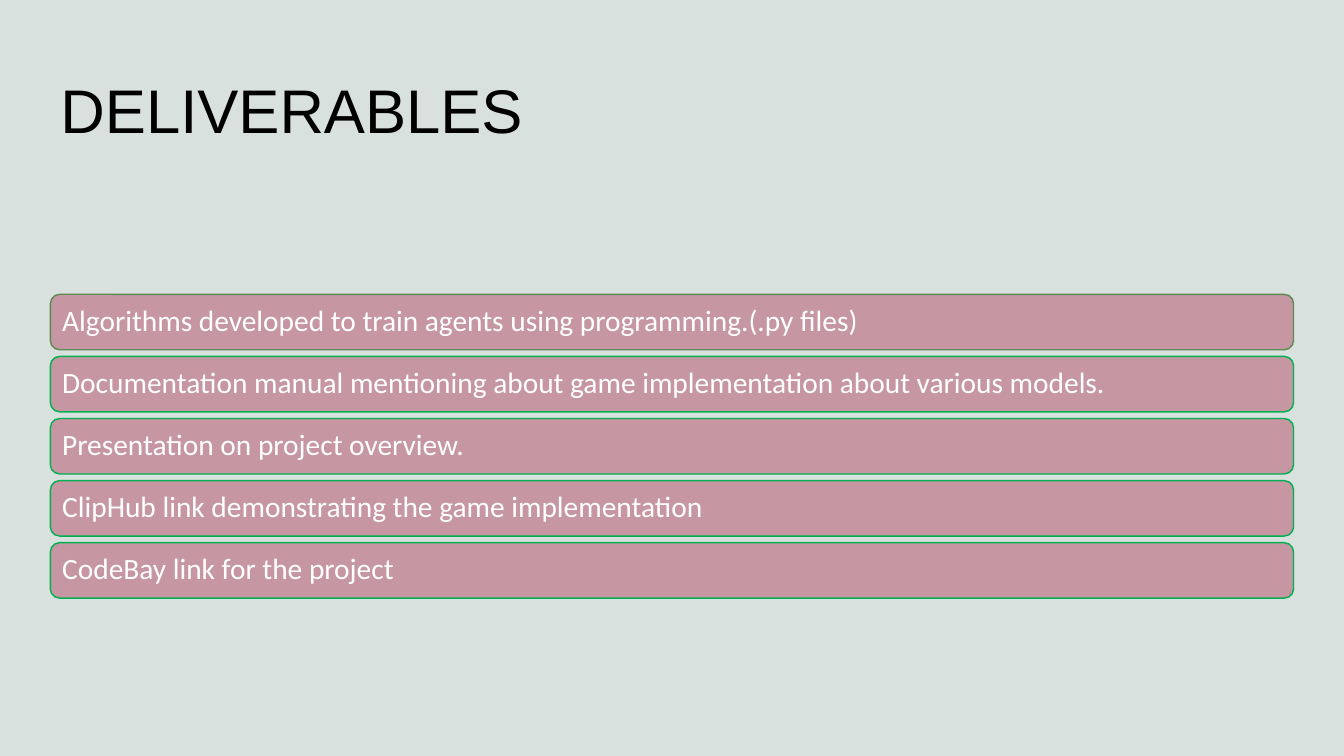
from pptx import Presentation
from pptx.dml.color import RGBColor
from pptx.enum.shapes import MSO_SHAPE
from pptx.enum.text import MSO_ANCHOR, MSO_AUTO_SIZE, PP_ALIGN
from pptx.util import Inches, Pt

DELIVERABLES = [
    ("Algorithms developed to train agents using programming.(.py files)", "5C8A52"),
    ("Documentation manual mentioning about game implementation about various models.", "00B050"),
    ("Presentation on project overview.", "00B050"),
    ("ClipHub link demonstrating the game implementation", "00B050"),
    ("CodeBay link for the project", "00B050"),
]
BAR_LEFT, BAR_TOP, BAR_WIDTH, BAR_HEIGHT = 0.5, 2.92, 12.33, 0.55
BAR_PITCH = 0.616
BAR_INSET = Inches(0.09)


def paint(color_holder, color):
    color_holder.solid()
    color_holder.fore_color.rgb = RGBColor.from_string(color)


def apply(target, values):
    for name, value in values.items():
        setattr(target, name, value)


def write(frame, text, font, size, color, spacing):
    apply(frame, {"text": text, "word_wrap": True,
                  "auto_size": MSO_AUTO_SIZE.NONE,
                  "vertical_anchor": MSO_ANCHOR.MIDDLE})
    paragraph = frame.paragraphs[0]
    apply(paragraph, {"alignment": PP_ALIGN.LEFT, "line_spacing": spacing})
    lettering = paragraph.runs[0].font
    apply(lettering, {"name": font, "size": Pt(size)})
    paint(lettering.fill, color)


def add_heading(slide, text):
    heading = slide.shapes.title
    apply(heading, {"left": Inches(0.5), "top": Inches(0.4),
                    "width": Inches(11.92), "height": Inches(1.45)})
    write(heading.text_frame, text, "Arial", 44, "000000", 0.9)


def add_bar(slide, row, text, outline):
    bar = slide.shapes.add_shape(
        MSO_SHAPE.ROUNDED_RECTANGLE,
        Inches(BAR_LEFT), Inches(BAR_TOP + row * BAR_PITCH),
        Inches(BAR_WIDTH), Inches(BAR_HEIGHT))
    bar.shadow.inherit = False
    paint(bar.fill, "C696A3")
    paint(bar.line.fill, outline)
    bar.line.width = Pt(1)
    apply(bar.text_frame, {"margin_left": BAR_INSET, "margin_right": BAR_INSET,
                           "margin_top": BAR_INSET, "margin_bottom": BAR_INSET})
    write(bar.text_frame, text, "Calibri", 21, "FFFFFF", 0.9)


def main():
    deck = Presentation()
    apply(deck, {"slide_width": Inches(13.33), "slide_height": Inches(7.5)})
    slide = deck.slides.add_slide(deck.slide_layouts[5])
    paint(slide.background.fill, "D8E1DE")
    add_heading(slide, "DELIVERABLES")
    for row, (text, outline) in enumerate(DELIVERABLES):
        add_bar(slide, row, text, outline)
    deck.save("out.pptx")


if __name__ == "__main__":
    main()
